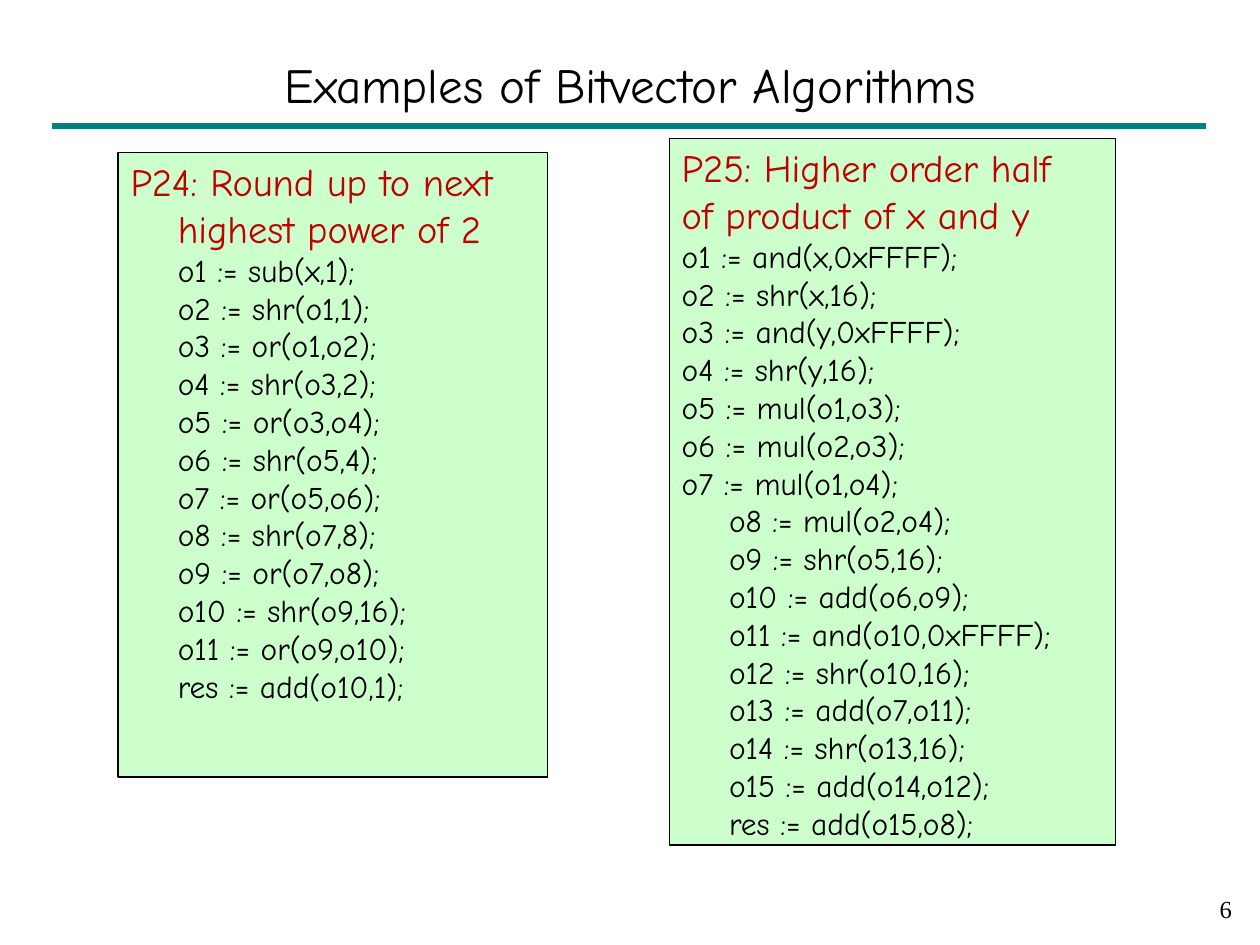
from lxml import etree
from pptx import Presentation, util as u
from pptx.dml import color
from pptx.enum import shapes, text
from pptx.oxml import ns

INDENT = 27
ROUND_UP = [
    "o1 := sub(x,1);", "o2 := shr(o1,1);", "o3 := or(o1,o2);",
    "o4 := shr(o3,2);", "o5 := or(o3,o4);", "o6 := shr(o5,4);",
    "o7 := or(o5,o6);", "o8 := shr(o7,8);", "o9 := or(o7,o8);",
    "o10 := shr(o9,16);", "o11 := or(o9,o10);", "res := add(o10,1);",
]
HIGH_HALF = [
    "o1 := and(x,0xFFFF);", "o2 := shr(x,16);", "o3 := and(y,0xFFFF);",
    "o4 := shr(y,16);", "o5 := mul(o1,o3);", "o6 := mul(o2,o3);",
    "o7 := mul(o1,o4);", "o8 := mul(o2,o4);", "o9 := shr(o5,16);",
    "o10 := add(o6,o9);", "o11 := and(o10,0xFFFF);", "o12 := shr(o10,16);",
    "o13 := add(o7,o11);", "o14 := shr(o13,16);", "o15 := add(o14,o12);",
    "res := add(o15,o8);",
]


def rgb(value):
    return color.RGBColor.from_string(value)


class Slide:
    font = "Comic Neue"
    ink = "000000"
    heading = "C00000"
    panel_fill = "CCFFCC"
    rule_color = "008080"

    def __init__(self, deck):
        self.page = deck.slides.add_slide(deck.slide_layouts[5])

    def add_span(self, para, words, size, ink=ink, font=font):
        span = para.add_run()
        span.text = words
        span.font.size = u.Pt(size)
        span.font.name = font
        span.font.color.rgb = rgb(ink)

    def title(self, words, left, top, width, height):
        box = self.page.shapes.title
        box.left, box.top, box.width, box.height = map(u.Pt, (left, top, width, height))
        box.text_frame.vertical_anchor = text.MSO_ANCHOR.MIDDLE
        para = box.text_frame.paragraphs[0]
        para.alignment = text.PP_ALIGN.CENTER
        self.add_span(para, words, 28)

    def rule(self, left, right, y):
        line = self.page.shapes.add_connector(
            shapes.MSO_CONNECTOR.STRAIGHT, *map(u.Pt, (left, y, right, y)))
        line.line.color.rgb = rgb(self.rule_color)
        line.line.width = u.Pt(4)
        etree.SubElement(line._element.spPr, ns.qn("a:effectLst"))

    def number(self, words, left, top, width, height):
        box = self.page.shapes.add_textbox(*map(u.Pt, (left, top, width, height)))
        box.text_frame.word_wrap = True
        para = box.text_frame.paragraphs[0]
        para.alignment = text.PP_ALIGN.RIGHT
        self.add_span(para, words, 14, font="Times New Roman")

    def panel(self, headings, steps, hanging, left, top, width, height):
        box = self.page.shapes.add_shape(
            shapes.MSO_SHAPE.RECTANGLE, *map(u.Pt, (left, top, width, height)))
        box.shadow.inherit = False
        box.fill.solid()
        box.fill.fore_color.rgb = rgb(self.panel_fill)
        box.line.color.rgb = rgb(self.ink)
        box.line.width = u.Pt(0.75)
        frame = box.text_frame
        frame.word_wrap = True
        frame.vertical_anchor = text.MSO_ANCHOR.TOP
        for index, words in enumerate(headings + steps):
            para = frame.paragraphs[0] if index == 0 else frame.add_paragraph()
            para.alignment = text.PP_ALIGN.LEFT
            layout = para._p.get_or_add_pPr()
            layout.set("marL", str(u.Pt(INDENT)))
            layout.set("indent", str(u.Pt(-INDENT if index < hanging else 0)))
            if index < len(headings):
                self.add_span(para, words, 22, self.heading)
            else:
                self.add_span(para, words, 18)


def main():
    deck = Presentation()
    deck.slide_width, deck.slide_height = u.Pt(720), u.Pt(540)
    slide = Slide(deck)
    slide.rule(30, 689, 72)
    slide.number("6", 561, 507.5, 150, 30)
    slide.title("Examples of Bitvector Algorithms", 54, 24, 612, 48)
    slide.panel(["P25: Higher order half", "of product of x and y"],
                HIGH_HALF, 9, 382.5, 79, 255, 404)
    slide.panel(["P24: Round up to next highest power of 2"],
                ROUND_UP, 1, 67.5, 87, 245.5, 357)
    deck.save("out.pptx")


if __name__ == "__main__":
    main()
